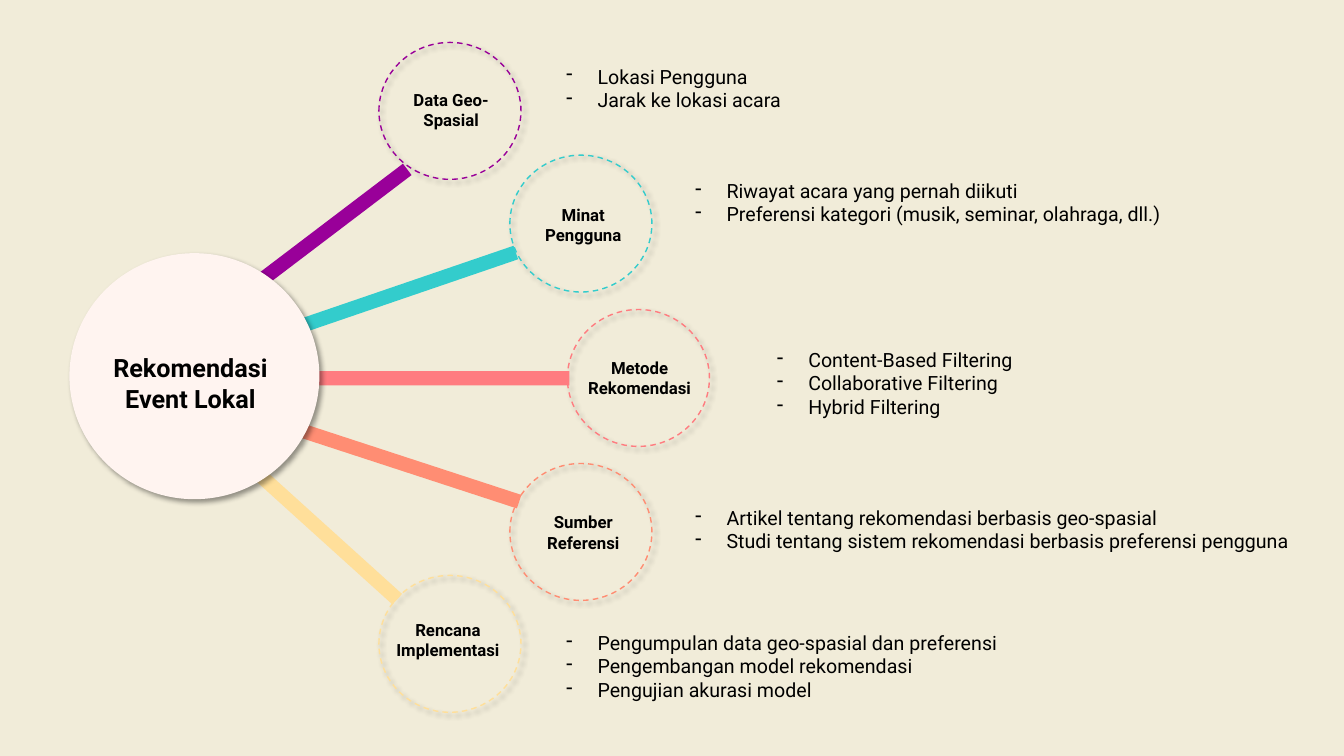
from lxml.etree import SubElement
from pptx import Presentation
from pptx.dml.color import RGBColor
from pptx.enum.dml import MSO_LINE
from pptx.enum.shapes import MSO_SHAPE
from pptx.enum.text import PP_ALIGN
from pptx.oxml.ns import qn
from pptx.util import Cm, Pt

INK = "000000"
CIRCLE_W, CIRCLE_H = 3.58, 3.45
BAR_H = 0.36
LABEL_H = 1.27

BRANCHES = [
    dict(color="990099", circle=(9.55, 1.07), bar=(5.36, 5.74, 5.46, 322.8),
         label="Data Geo-Spasial", label_at=(9.78, 2.13, 3.18),
         notes=["Lokasi Pengguna", "Jarak ke lokasi acara"],
         notes_at=(14.02, 1.5, 10.67)),
    dict(color="33CCCC", circle=(12.85, 3.91), bar=(6.53, 7.26, 6.65, 341.1),
         label="Minat Pengguna", label_at=(13.11, 5.03, 3.18),
         notes=["Riwayat acara yang pernah diikuti",
                "Preferensi kategori (musik, seminar, olahraga, dll.)"],
         notes_at=(17.27, 4.38, 13.03)),
    dict(color="FF7C80", circle=(14.3, 7.8), bar=(7.34, 9.35, 7.01, 0),
         label="Metode Rekomendasi", label_at=(14.33, 8.89, 3.58),
         notes=["Content-Based Filtering", "Collaborative Filtering",
                "Hybrid Filtering"],
         notes_at=(19.33, 8.64, 10.67)),
    dict(color="FF8D73", circle=(12.85, 11.68), bar=(6.6, 11.43, 6.65, 18.1),
         label="Sumber Referensi", label_at=(13.11, 12.78, 3.18),
         notes=["Artikel tentang rekomendasi berbasis geo-spasial",
                "Studi tentang sistem rekomendasi berbasis preferensi pengguna"],
         notes_at=(17.27, 12.62, 15.57)),
    dict(color="FFDF9A", circle=(9.55, 14.5), bar=(5.23, 13.08, 5.49, 42.1),
         label="Rencana Implementasi", label_at=(9.5, 15.49, 3.58),
         notes=["Pengumpulan data geo-spasial dan preferensi",
                "Pengembangan model rekomendasi", "Pengujian akurasi model"],
         notes_at=(14.02, 15.77, 14.22)),
]


def rgb(color):
    return RGBColor.from_string(color)


def add_shadow(sp):
    effects = sp._element.spPr.find(qn("a:effectLst"))
    shadow = SubElement(effects, qn("a:outerShdw"), blurRad=str(Pt(4)),
                        dist=str(Pt(3)), dir=str(45 * 60000),
                        algn="tl", rotWithShape="0")
    clr = SubElement(shadow, qn("a:srgbClr"), val=INK)
    SubElement(clr, qn("a:alpha"), val="40000")


def add_shape(s, kind, x, y, w, h, fill=None, line=None, rotation=0, shadow=False):
    sp = s.shapes.add_shape(kind, Cm(x), Cm(y), Cm(w), Cm(h))
    sp.rotation = rotation
    sp.shadow.inherit = False
    if fill:
        sp.fill.solid()
        sp.fill.fore_color.rgb = rgb(fill)
    else:
        sp.fill.background()
    if line:
        sp.line.color.rgb = rgb(line)
        sp.line.width = Pt(1)
        sp.line.dash_style = MSO_LINE.DASH
    else:
        sp.line.fill.background()
    if shadow:
        add_shadow(sp)


def add_dash(p):
    pPr = p._p.get_or_add_pPr()
    pPr.set("marL", str(Cm(0.79)))
    pPr.set("indent", str(-Cm(0.79)))
    SubElement(pPr, qn("a:buChar"), char="-")


def add_text(s, text, x, y, w, h, size, bold=False, align=PP_ALIGN.LEFT, dash=False):
    tf = s.shapes.add_textbox(Cm(x), Cm(y), Cm(w), Cm(h)).text_frame
    tf.word_wrap = True
    tf.text = text
    for p in tf.paragraphs:
        p.alignment = align
        if dash:
            add_dash(p)
        for r in p.runs:
            r.font.name = "Roboto"
            r.font.size = Pt(size)
            r.font.bold = bold
            r.font.color.rgb = rgb(INK)


def add_branch(s, color, circle, bar, label, label_at, notes, notes_at):
    x, y, length, rotation = bar
    add_shape(s, MSO_SHAPE.OVAL, *circle, CIRCLE_W, CIRCLE_H, line=color, shadow=True)
    add_shape(s, MSO_SHAPE.RECTANGLE, x, y, length, BAR_H, fill=color, rotation=rotation)
    add_text(s, label, *label_at, LABEL_H, size=12, bold=True, align=PP_ALIGN.CENTER)
    add_text(s, "\n".join(notes), *notes_at, 0.25 + 0.6 * len(notes), size=14, dash=True)


def main():
    prs = Presentation()
    prs.slide_width, prs.slide_height = Cm(33.87), Cm(19.05)
    s = prs.slides.add_slide(prs.slide_layouts[6])
    s.background.fill.solid()
    s.background.fill.fore_color.rgb = rgb("F1ECD9")
    for branch in BRANCHES:
        add_branch(s, **branch)
    add_shape(s, MSO_SHAPE.OVAL, 1.75, 6.38, 6.3, 6.2, fill="FFF4F0", shadow=True)
    add_text(s, "Rekomendasi Event Lokal", 2.26, 8.76, 5.08, 1.8,
             size=18, bold=True, align=PP_ALIGN.CENTER)
    prs.save("out.pptx")


if __name__ == "__main__":
    main()
